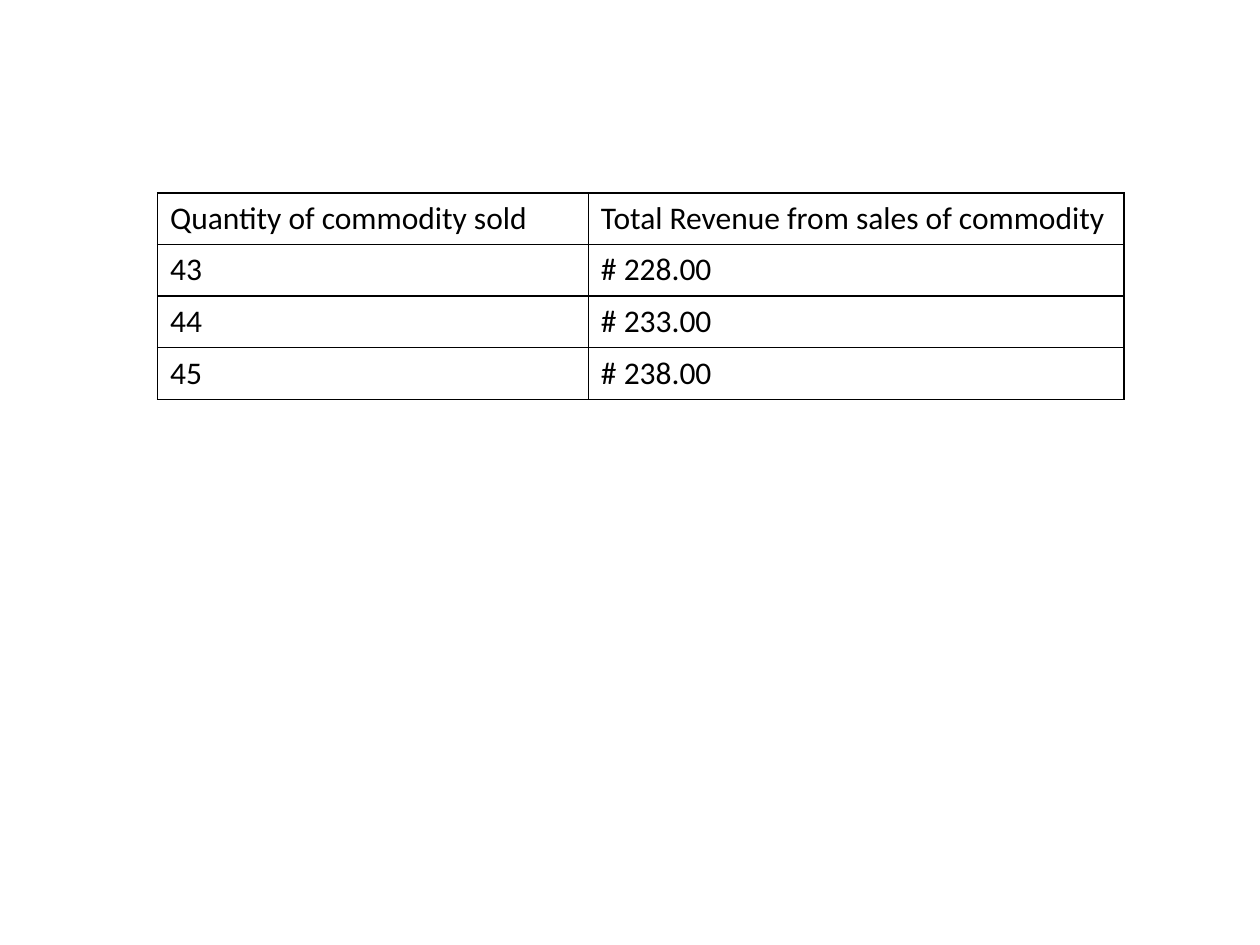
from lxml.etree import SubElement
from pptx import Presentation
from pptx.dml.color import RGBColor
from pptx.oxml.ns import qn
from pptx.util import Inches, Pt

COLORS = {"ink": "000000", "paper": "FFFFFF"}

SALES = [
    ("Quantity of commodity sold", "Total Revenue from sales of commodity"),
    ("43", "# 228.00"),
    ("44", "# 233.00"),
    ("45", "# 238.00"),
]


class Deck:
    font = "Calibri"
    size = Pt(18)
    border = Pt(1)

    def __init__(self, width, height):
        self.file = Presentation()
        self.file.slide_width = Inches(width)
        self.file.slide_height = Inches(height)
        self.slide = None

    def page(self):
        self.slide = self.file.slides.add_slide(self.file.slide_layouts[6])

    def frame(self, cell):
        props = cell._tc.get_or_add_tcPr()
        for side in ("lnL", "lnR", "lnT", "lnB"):
            line = SubElement(props, qn(f"a:{side}"), w=str(self.border))
            fill = SubElement(line, qn("a:solidFill"))
            SubElement(fill, qn("a:srgbClr"), val=COLORS["ink"])

    def cell(self, cell, text):
        self.frame(cell)
        cell.fill.solid()
        cell.fill.fore_color.rgb = RGBColor.from_string(COLORS["paper"])
        cell.text = text
        font = cell.text_frame.paragraphs[0].font
        font.name = self.font
        font.size = self.size
        font.bold = False
        font.color.rgb = RGBColor.from_string(COLORS["ink"])

    def table(self, rows, left, top, widths, height):
        table = self.slide.shapes.add_table(
            len(rows), len(widths), Inches(left), Inches(top),
            Inches(sum(widths)), Inches(height * len(rows)),
        ).table
        table.horz_banding = False
        table.first_row = False
        for column, width in zip(table.columns, widths):
            column.width = Inches(width)
        for row, texts in zip(table.rows, rows):
            row.height = Inches(height)
            for cell, text in zip(row.cells, texts):
                self.cell(cell, text)


def main():
    deck = Deck(10, 7.5)
    deck.page()
    deck.table(SALES, 1.25, 1.53, (3.42, 4.25), 0.41)
    deck.file.save("out.pptx")


if __name__ == "__main__":
    main()
